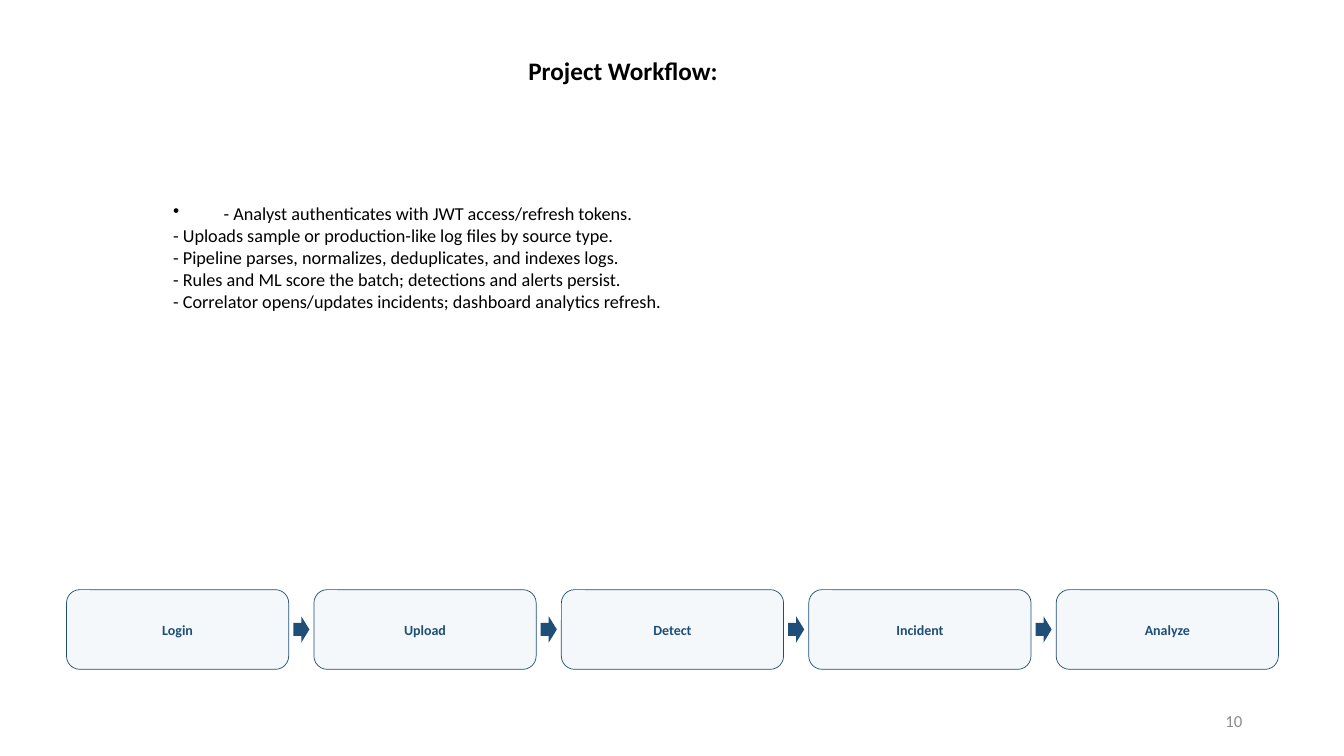
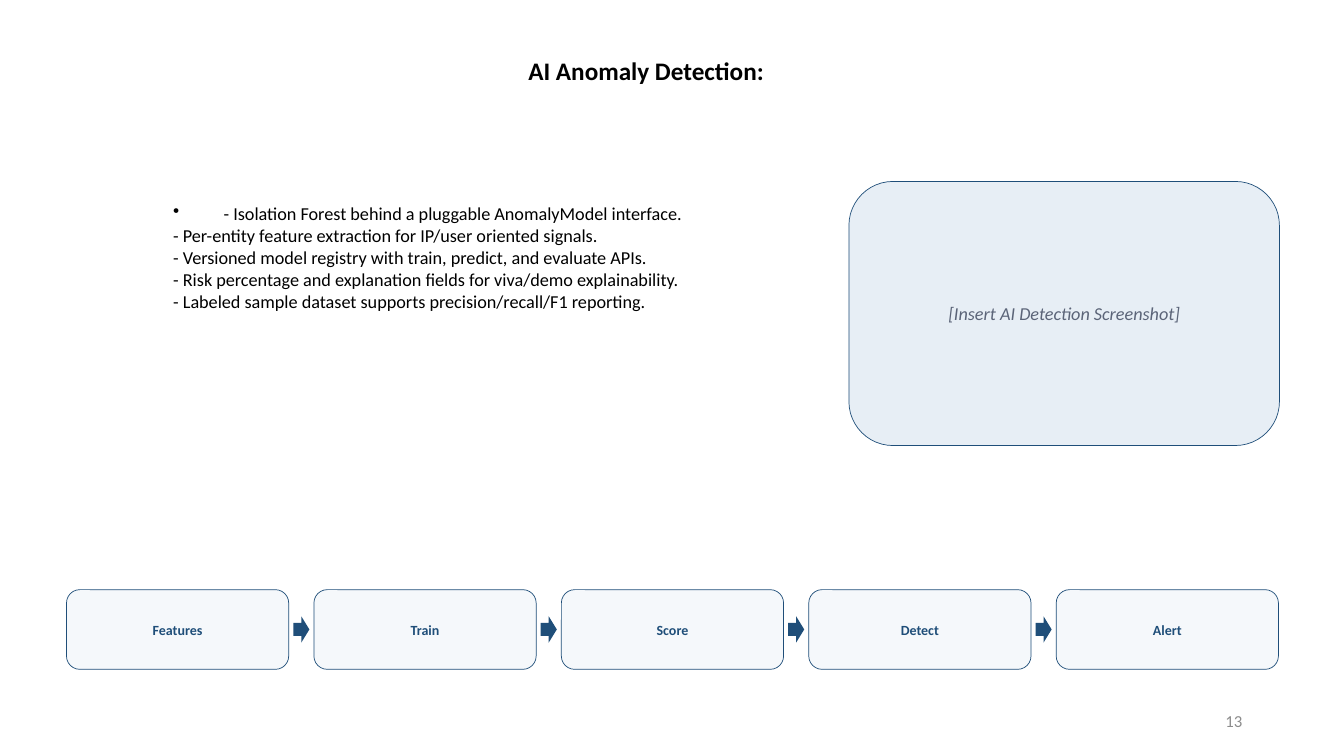
from dataclasses import dataclass

from lxml.etree import SubElement
from pptx import Presentation
from pptx.dml.color import RGBColor
from pptx.enum.shapes import MSO_SHAPE
from pptx.enum.text import MSO_ANCHOR, MSO_AUTO_SIZE, PP_ALIGN
from pptx.oxml.ns import qn
from pptx.util import Inches, Pt

SLIDES = [
    {
        "title": "Project Workflow:",
        "number": "10",
        "points": [
            "- Analyst authenticates with JWT access/refresh tokens.",
            "- Uploads sample or production-like log files by source type.",
            "- Pipeline parses, normalizes, deduplicates, and indexes logs.",
            "- Rules and ML score the batch; detections and alerts persist.",
            "- Correlator opens/updates incidents; dashboard analytics refresh.",
        ],
        "steps": ["Login", "Upload", "Detect", "Incident", "Analyze"],
    },
    {
        "title": "AI Anomaly Detection:",
        "number": "13",
        "points": [
            "- Isolation Forest behind a pluggable AnomalyModel interface.",
            "- Per-entity feature extraction for IP/user oriented signals.",
            "- Versioned model registry with train, predict, and evaluate APIs.",
            "- Risk percentage and explanation fields for viva/demo explainability.",
            "- Labeled sample dataset supports precision/recall/F1 reporting.",
        ],
        "steps": ["Features", "Train", "Score", "Detect", "Alert"],
        "screenshot": "[Insert AI Detection Screenshot]",
    },
]


@dataclass(frozen=True)
class Theme:
    font: str = "Calibri"
    text: str = "000000"
    muted: str = "8C8C8C"
    caption: str = "5B6478"
    accent: str = "1F4E79"
    step_fill: str = "F5F8FB"
    panel_fill: str = "E7EEF5"
    title_size: float = 18
    body_size: float = 13
    number_size: float = 12
    step_size: float = 10
    outline: float = 0.5


THEME = Theme()
SLIDE_SIZE = (13.33, 7.5)
TITLE_BOX = (5.14, 0.5, 3.59, 0.77)
NUMBER_BOX = (9.42, 6.95, 3, 0.4)
POINTS_BOX = (1.62, 1.96, 10.63, 5.5)
SCREENSHOT_BOX = (8.42, 1.8, 4.27, 2.62)
FLOW_BOX = (0.66, 5.85, 12.02, 0.79)
STEP_GAP = 0.25
ARROW_SIZE = (0.16, 0.26)
BULLET_INDENT = 0.5


def set_attributes(target, values):
    for name, value in values.items():
        setattr(target, name, value)


def write(shape, lines, size, color, align=PP_ALIGN.LEFT,
          anchor=MSO_ANCHOR.MIDDLE, bulleted=False, **font_values):
    """Fill a shape with one paragraph a line; only the first may be bulleted."""
    frame = shape.text_frame
    frame.text = "\n".join(lines)
    set_attributes(frame, {"word_wrap": True, "auto_size": MSO_AUTO_SIZE.NONE,
                           "vertical_anchor": anchor})
    if bulleted:
        add_bullet(frame.paragraphs[0])
    for paragraph in frame.paragraphs:
        paragraph.alignment = align
        font = paragraph.font
        set_attributes(font, {"name": THEME.font, "size": Pt(size), **font_values})
        font.color.rgb = RGBColor.from_string(color)


def add_bullet(paragraph):
    properties = paragraph._p.get_or_add_pPr()
    indent = Inches(BULLET_INDENT)
    properties.set("marL", str(indent))
    properties.set("indent", str(-indent))
    SubElement(properties, qn("a:buChar")).set("char", "•")


def add_text(slide, box, lines, size, color, **options):
    text_box = slide.shapes.add_textbox(*map(Inches, box))
    write(text_box, lines, size, color, **options)


def add_block(slide, kind, box, fill, outlined=True):
    block = slide.shapes.add_shape(kind, *map(Inches, box))
    block.shadow.inherit = False
    block.fill.solid()
    block.fill.fore_color.rgb = RGBColor.from_string(fill)
    if outlined:
        block.line.color.rgb = RGBColor.from_string(THEME.accent)
        block.line.width = Pt(THEME.outline)
    else:
        block.line.fill.background()
    return block


def add_title(slide, title):
    placeholder = slide.shapes.title
    names = ("left", "top", "width", "height")
    set_attributes(placeholder, dict(zip(names, map(Inches, TITLE_BOX))))
    write(placeholder, [title], THEME.title_size, THEME.text,
          anchor=MSO_ANCHOR.TOP, bold=True)


def add_flow(slide, steps):
    """Spread the steps over the flow row, with an arrow in each gap."""
    left, top, width, height = FLOW_BOX
    step_width = (width - STEP_GAP * (len(steps) - 1)) / len(steps)
    arrow_width, arrow_height = ARROW_SIZE
    for index, step in enumerate(steps):
        step_left = left + index * (step_width + STEP_GAP)
        if index:
            arrow_box = (step_left - (STEP_GAP + arrow_width) / 2,
                         top + (height - arrow_height) / 2, *ARROW_SIZE)
            add_block(slide, MSO_SHAPE.RIGHT_ARROW, arrow_box, THEME.accent, outlined=False)
        block = add_block(slide, MSO_SHAPE.ROUNDED_RECTANGLE,
                          (step_left, top, step_width, height), THEME.step_fill)
        write(block, [step], THEME.step_size, THEME.accent,
              align=PP_ALIGN.CENTER, bold=True)


def add_screenshot_panel(slide, caption):
    panel = add_block(slide, MSO_SHAPE.ROUNDED_RECTANGLE, SCREENSHOT_BOX, THEME.panel_fill)
    write(panel, [caption], THEME.body_size, THEME.caption,
          align=PP_ALIGN.CENTER, italic=True)


def add_slide(presentation, content):
    slide = presentation.slides.add_slide(presentation.slide_layouts.get_by_name("Title Only"))
    add_title(slide, content["title"])
    add_text(slide, NUMBER_BOX, [content["number"]], THEME.number_size, THEME.muted,
             align=PP_ALIGN.RIGHT)
    add_text(slide, POINTS_BOX, content["points"], THEME.body_size, THEME.text,
             anchor=MSO_ANCHOR.TOP, bulleted=True)
    add_flow(slide, content["steps"])
    if "screenshot" in content:
        add_screenshot_panel(slide, content["screenshot"])


def main():
    presentation = Presentation()
    presentation.slide_width, presentation.slide_height = map(Inches, SLIDE_SIZE)
    for content in SLIDES:
        add_slide(presentation, content)
    presentation.save("out.pptx")


if __name__ == "__main__":
    main()
